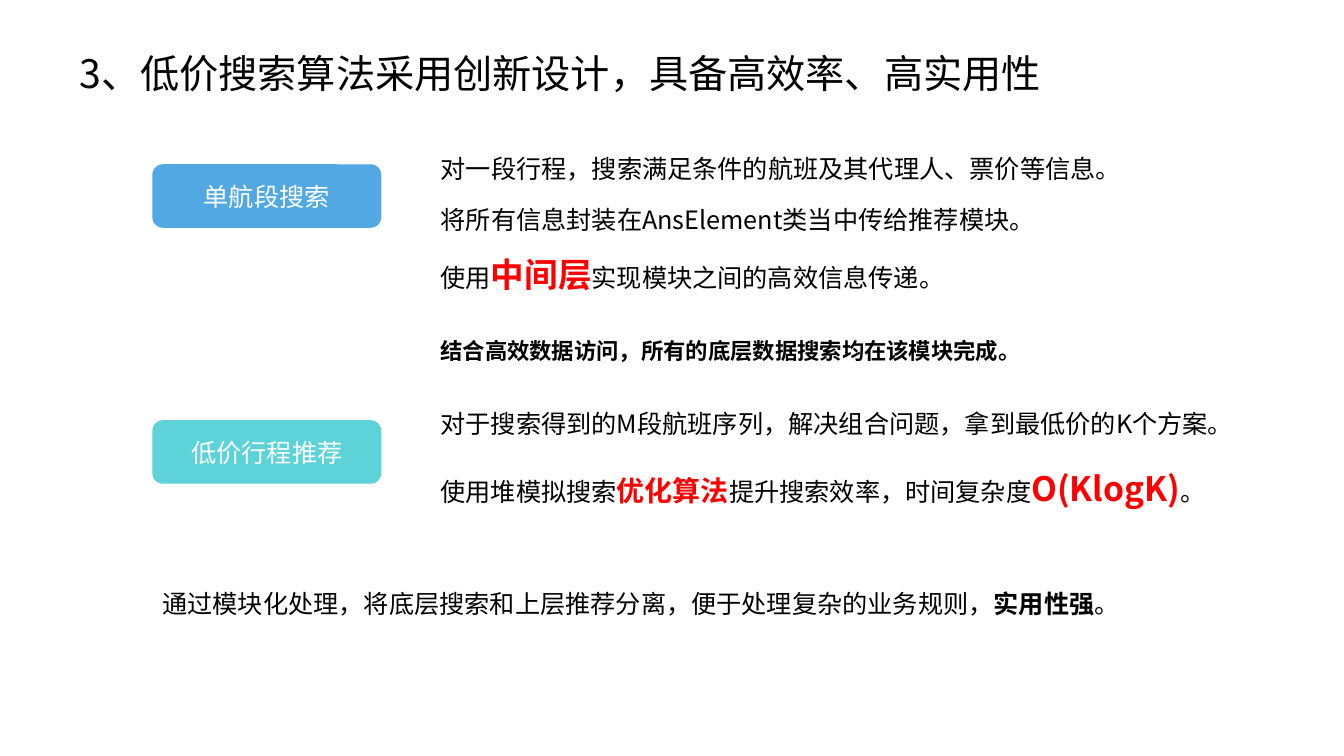
import pptx
import pptx.dml.color
import pptx.enum.shapes
import pptx.enum.text
import pptx.oxml.ns
import pptx.util
from lxml import etree
from pptx.dml.color import RGBColor
from pptx.util import Cm, Pt

FONT = "Noto Sans CJK SC"
BLACK = RGBColor(0x00, 0x00, 0x00)
WHITE = RGBColor(0xFF, 0xFF, 0xFF)
RED = RGBColor(0xFF, 0x00, 0x00)
BLUE = RGBColor(0x51, 0xA8, 0xE2)
TEAL = RGBColor(0x5C, 0xD2, 0xD9)

LABEL_LEFT, TEXT_LEFT = 3.84, 10.85
PLAIN = {"size": Pt(18), "bold": False}
BOLD = {"size": Pt(18), "bold": True}


def key(size):
    """Format of a highlighted red phrase."""
    return {"size": Pt(size), "bold": True, "color": RED}


def add_run(p, text, size, bold=False, color=BLACK):
    r = p.add_run()
    r.text = text
    for name, value in {"size": size, "bold": bold, "name": FONT}.items():
        setattr(r.font, name, value)
    r.font.color.rgb = color
    ea = etree.SubElement(r.font._element, pptx.oxml.ns.qn("a:ea"))
    ea.set("typeface", FONT)


def place(s, left, top, width, height):
    box = {"left": left, "top": top, "width": width, "height": height}
    for name, value in box.items():
        setattr(s, name, Cm(value))


def fill_text(s, paragraphs, **spacing):
    """Write paragraphs, each a list of (text, format) runs, from the top left."""
    tf = s.text_frame
    frame = {
        "word_wrap": True,
        "auto_size": pptx.enum.text.MSO_AUTO_SIZE.SHAPE_TO_FIT_TEXT,
        "vertical_anchor": pptx.enum.text.MSO_ANCHOR.TOP,
    }
    for name, value in frame.items():
        setattr(tf, name, value)
    layout = {"alignment": pptx.enum.text.PP_ALIGN.LEFT,
              "space_before": Pt(0), **spacing}
    for i, runs in enumerate(paragraphs):
        p = tf.add_paragraph() if i else tf.paragraphs[0]
        for name, value in layout.items():
            setattr(p, name, value)
        for text, style in runs:
            add_run(p, text, **style)


def remove_bullets(tf):
    for p in tf.paragraphs:
        pPr = p._p.get_or_add_pPr()
        pPr.set("marL", "0")
        pPr.set("indent", "0")
        etree.SubElement(pPr, pptx.oxml.ns.qn("a:buNone"))


def add_text(slide, left, top, width, height, runs):
    s = slide.shapes.add_textbox(Cm(left), Cm(top), Cm(width), Cm(height))
    fill_text(s, [runs])


def add_label(slide, top, text, color):
    s = slide.shapes.add_shape(
        pptx.enum.shapes.MSO_SHAPE.ROUNDED_RECTANGLE,
        Cm(LABEL_LEFT), Cm(top), Cm(5.77), Cm(1.6))
    s.shadow.inherit = False
    s.fill.solid()
    s.fill.fore_color.rgb = color
    s.line.fill.background()
    s.text_frame.vertical_anchor = pptx.enum.text.MSO_ANCHOR.MIDDLE
    p = s.text_frame.paragraphs[0]
    p.alignment = pptx.enum.text.PP_ALIGN.CENTER
    add_run(p, text, Pt(18), color=WHITE)


def main():
    prs = pptx.Presentation()
    prs.slide_width, prs.slide_height = Cm(33.87), Cm(19.05)
    slide = prs.slides.add_slide(prs.slide_layouts[1])

    title, body = slide.placeholders
    place(title, 1.75, 1.63, 25.86, 0.94)
    fill_text(title, [[("3、低价搜索算法采用创新设计，具备高效率、高实用性",
                        {"size": Pt(28)})]],
              line_spacing=Pt(19), space_before=Pt(5.6))

    place(body, TEXT_LEFT, 3.2, 19.08, 2.87)
    fill_text(body, [
        [("对一段行程，搜索满足条件的航班及其代理人、票价等信息。", PLAIN)],
        [("将所有信息封装在AnsElement类当中传给推荐模块。", PLAIN)],
    ], line_spacing=1.7)
    remove_bullets(body.text_frame)

    add_label(slide, 4.14, "单航段搜索", BLUE)
    add_label(slide, 10.59, "低价行程推荐", TEAL)

    add_text(slide, TEXT_LEFT, 6.27, 13.4, 1.27, [
        ("使用", PLAIN), ("中间层", key(24)),
        ("实现模块之间的高效信息传递。", PLAIN)])
    add_text(slide, TEXT_LEFT, 8.38, 15.52, 0.94, [
        ("结合高效数据访问，所有的底层数据搜索均在该模块完成。",
         {"size": Pt(16), "bold": True})])
    add_text(slide, TEXT_LEFT, 10.16, 20.42, 1.02, [
        ("对于搜索得到的M段航班序列，解决组合问题，拿到最低价的K个方案。", PLAIN)])
    add_text(slide, TEXT_LEFT, 11.66, 19.94, 1.27, [
        ("使用堆模拟搜索", PLAIN), ("优化算法", key(20)),
        ("提升搜索效率，时间复杂度", PLAIN), ("O(KlogK)", key(24)), ("。", PLAIN)])
    add_text(slide, LABEL_LEFT, 14.71, 26.39, 1.02, [
        ("通过模块化处理，将底层搜索和上层推荐分离，便于处理复杂的业务规则，", PLAIN),
        ("实用性强", BOLD), ("。", PLAIN)])

    prs.save("out.pptx")


if __name__ == "__main__":
    main()
